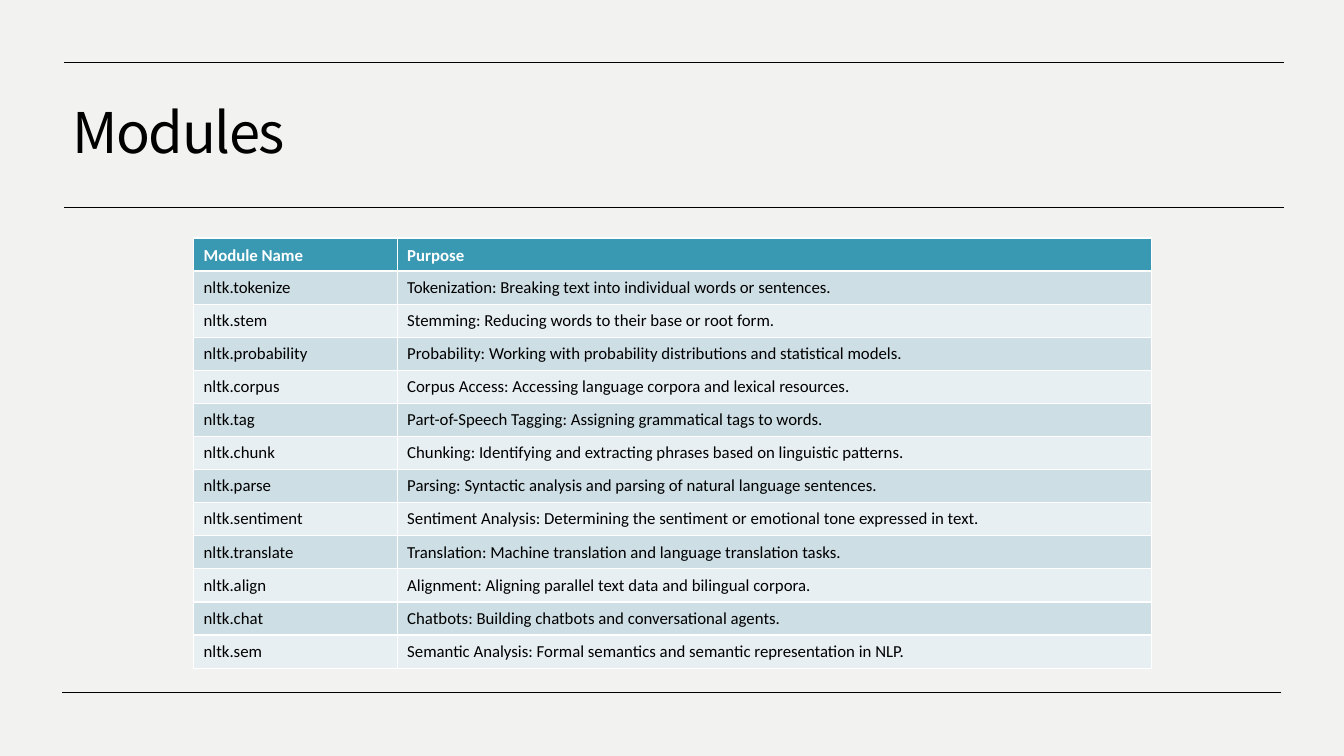
from dataclasses import dataclass
from typing import Any

from lxml import etree
from pptx import Presentation
from pptx import util as u
from pptx.dml.color import RGBColor
from pptx.enum import shapes, text
from pptx.oxml import ns

WIDTH, HEIGHT = u.Inches(13.33), u.Inches(7.5)
INK, PAPER, WHITE = "000000", "F2F3F0", "FFFFFF"
HEADER_FILL, BAND_FILLS = "3999B3", ("CEDEE5", "E8EFF2")
COLUMN_SHARES = (15.15, 56.11)
ROW_SHARE = 4.38


@dataclass(frozen=True)
class Rule:
    left: float
    right: float
    top: float


@dataclass(frozen=True)
class Module:
    name: str
    purpose: str


RULES = (
    Rule(4.65, 95.35, 91.6),
    Rule(4.73, 95.5, 27.47),
    Rule(4.73, 95.5, 8.27),
)

HEADER = Module("Module Name", "Purpose")
MODULES = (
    Module("nltk.tokenize", "Tokenization: Breaking text into individual words or sentences."),
    Module("nltk.stem", "Stemming: Reducing words to their base or root form."),
    Module("nltk.probability", "Probability: Working with probability distributions and statistical models."),
    Module("nltk.corpus", "Corpus Access: Accessing language corpora and lexical resources."),
    Module("nltk.tag", "Part-of-Speech Tagging: Assigning grammatical tags to words."),
    Module("nltk.chunk", "Chunking: Identifying and extracting phrases based on linguistic patterns."),
    Module("nltk.parse", "Parsing: Syntactic analysis and parsing of natural language sentences."),
    Module("nltk.sentiment", "Sentiment Analysis: Determining the sentiment or emotional tone expressed in text."),
    Module("nltk.translate", "Translation: Machine translation and language translation tasks."),
    Module("nltk.align", "Alignment: Aligning parallel text data and bilingual corpora."),
    Module("nltk.chat", "Chatbots: Building chatbots and conversational agents."),
    Module("nltk.sem", "Semantic Analysis: Formal semantics and semantic representation in NLP."),
)


def across(share: float) -> int:
    return round(WIDTH * share / 100)


def down(share: float) -> int:
    return round(HEIGHT * share / 100)


def color(value: str) -> RGBColor:
    return RGBColor.from_string(value)


def apply(target: Any, values: dict[str, Any]) -> None:
    for name, value in values.items():
        setattr(target, name, value)


def write(paragraph: Any, words: str, font: str, size: int, ink: str, bold: bool = False) -> Any:
    run = paragraph.add_run()
    run.text = words
    apply(run.font, {"name": font, "size": u.Pt(size), "bold": bold})
    run.font.color.rgb = color(ink)
    return run


def draw_rule(slide: Any, rule: Rule) -> None:
    top = down(rule.top)
    line = slide.shapes.add_connector(
        shapes.MSO_CONNECTOR.STRAIGHT, across(rule.right), top, across(rule.left), top
    )
    line.line.width = u.Pt(0.5)
    line.line.color.rgb = color(INK)
    etree.SubElement(line._element.spPr, ns.qn("a:effectLst"))


def draw_title(slide: Any, words: str) -> None:
    box = slide.shapes.add_textbox(across(4.65), down(10), across(90.62), down(15.87))
    apply(box.text_frame, {"word_wrap": True, "vertical_anchor": text.MSO_ANCHOR.MIDDLE})
    paragraph = box.text_frame.paragraphs[0]
    paragraph.line_spacing = 0.9
    run = write(paragraph, words, "Noto Sans CJK KR", 40, INK)
    properties = run.font._element
    properties.set("spc", "-100")
    for tag in ("a:ea", "a:cs"):
        etree.SubElement(properties, ns.qn(tag)).set("typeface", "Noto Sans CJK KR")


def draw_table(slide: Any, header: Module, modules: tuple[Module, ...]) -> None:
    rows = (header, *modules)
    table = slide.shapes.add_table(
        len(rows), len(COLUMN_SHARES), across(14.4), down(31.47),
        across(sum(COLUMN_SHARES)), down(ROW_SHARE * len(rows)),
    ).table
    for column, share in zip(table.columns, COLUMN_SHARES):
        column.width = across(share)
    for index, module in enumerate(rows):
        table.rows[index].height = down(ROW_SHARE)
        is_header = index == 0
        fill = HEADER_FILL if is_header else BAND_FILLS[(index - 1) % 2]
        anchor = text.MSO_ANCHOR.BOTTOM if is_header else text.MSO_ANCHOR.MIDDLE
        for cell, words in zip(table.rows[index].cells, (module.name, module.purpose)):
            cell.vertical_anchor = anchor
            cell.fill.solid()
            cell.fill.fore_color.rgb = color(fill)
            ink = WHITE if is_header else INK
            write(cell.text_frame.paragraphs[0], words, "Calibri", 12, ink, is_header)


def main() -> None:
    """Build the slide of modules and save it."""
    presentation = Presentation()
    apply(presentation, {"slide_width": WIDTH, "slide_height": HEIGHT})
    slide = presentation.slides.add_slide(presentation.slide_layouts[6])
    slide.background.fill.solid()
    slide.background.fill.fore_color.rgb = color(PAPER)
    for rule in RULES:
        draw_rule(slide, rule)
    draw_title(slide, "Modules")
    draw_table(slide, HEADER, MODULES)
    presentation.save("out.pptx")


if __name__ == "__main__":
    main()
